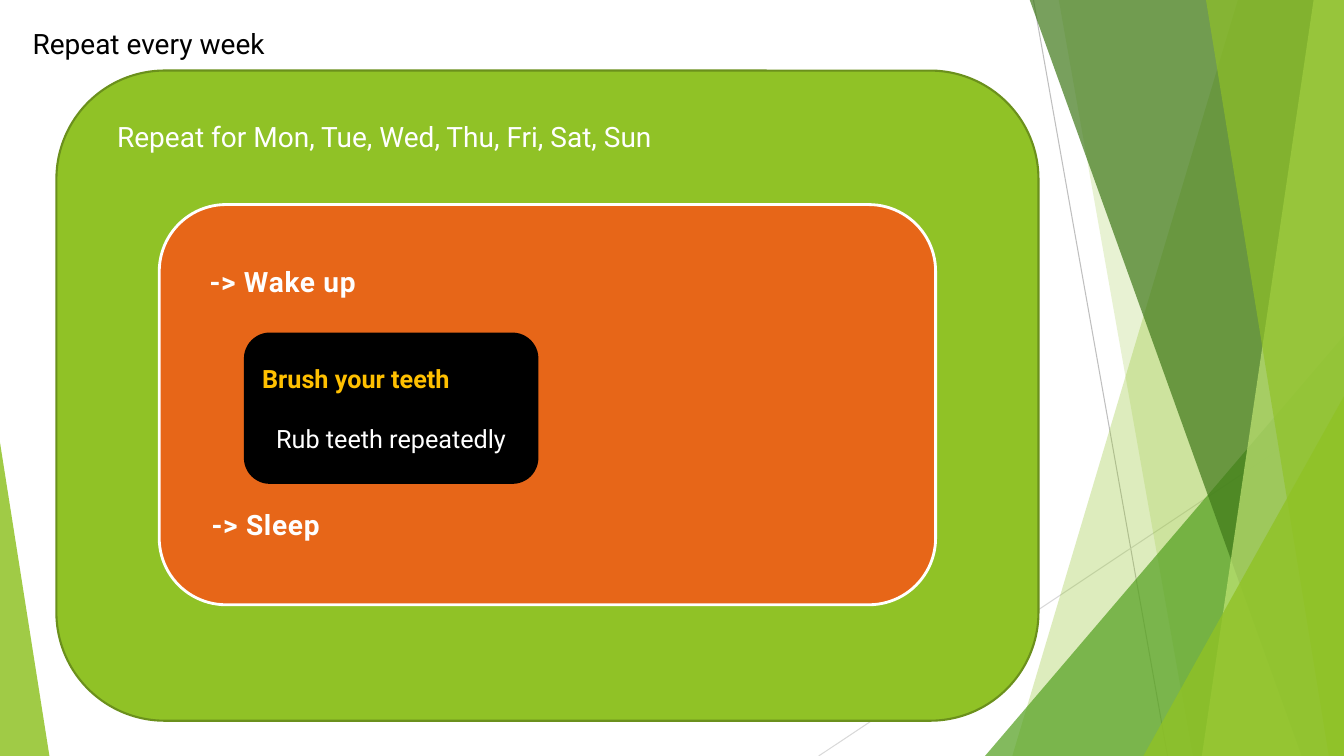
"""Build the nested weekly-routine slide with its green faceted backdrop."""
from dataclasses import dataclass
from typing import Any

import lxml.etree
import pptx
import pptx.dml.color
import pptx.enum.shapes
import pptx.enum.text
import pptx.oxml
import pptx.oxml.ns
import pptx.util

Inches = pptx.util.Inches
Pt = pptx.util.Pt
Align = pptx.enum.text.PP_ALIGN
Anchor = pptx.enum.text.MSO_ANCHOR
Preset = pptx.enum.shapes.MSO_SHAPE
qn = pptx.oxml.ns.qn

WIDTH, HEIGHT = 13.33, 7.5
FONT = "Roboto"
GREEN, WHITE, BLACK = "90C226", "FFFFFF", "000000"


@dataclass
class Ray:
    start: tuple[float, float]
    end: tuple[float, float]
    color: str


@dataclass
class Facet:
    """A band from two slanted-edge points to the right side of the slide."""
    top: float
    bottom: float
    color: str
    opacity: int


@dataclass
class Corner:
    left: float
    top: float
    width: float
    peak: float
    color: str
    opacity: int


@dataclass
class Panel:
    left: float
    top: float
    width: float
    height: float
    fill: str
    line: str
    weight: float


@dataclass
class Label:
    text: str
    left: float
    top: float
    width: float
    color: str
    align: Any = Align.LEFT
    glow: bool = False


RAYS = [
    Ray((10.25, 0), (11.58, HEIGHT), "BFBFBF"),
    Ray((WIDTH, 4.03), (8.12, HEIGHT), "D9D9D9"),
]
BACKDROP = [
    Facet(12.28, 10.04, GREEN, 30),
    Facet(10.5, 11.83, GREEN, 20),
    Corner(9.77, 3.33, 3.56, 1, "54A021", 72),
    Facet(10.21, 12.91, "3F7819", 70),
    Facet(13.03, 11.92, "C0E474", 70),
    Facet(11.96, 13.18, GREEN, 65),
    Corner(11.34, 3.93, 1.99, 1, GREEN, 80),
    Corner(0, 4.39, 0.49, 0, GREEN, 85),
]
WEEK = Panel(0.56, 0.7, 9.74, 6.45, GREEN, "6B901C", 1.5)
DAY = Panel(1.58, 2.03, 7.7, 3.97, "E76618", WHITE, 2)
BRUSH = Panel(2.43, 3.31, 2.9, 1.48, BLACK, BLACK, 1.5)
TITLE = Label("Repeat every week", 0.18, 0.21, 2.59, BLACK, Align.CENTER)
LABELS = [
    Label("Repeat for Mon, Tue, Wed, Thu, Fri, Sat, Sun", 0.9, 1.14, 5.83, WHITE, Align.CENTER),
    Label("-> Wake up", 1.98, 2.58, 1.74, "FEFEFE", glow=True),
    Label("-> Sleep", 2, 4.99, 1.32, "FEFEFE", glow=True),
]


def rgb(color: str) -> pptx.dml.color.RGBColor:
    """Turn a hex string into a colour."""
    return pptx.dml.color.RGBColor.from_string(color)


def paint(sp: Any, color: str, opacity: int = 100) -> None:
    """Fill a shape, with no shadow and the given opacity."""
    sp.shadow.inherit = False
    sp.fill.solid()
    sp.fill.fore_color.rgb = rgb(color)
    if opacity < 100:
        clr = sp._element.spPr.find(qn("a:solidFill"))[0]
        lxml.etree.SubElement(clr, qn("a:alpha"), val=str(opacity * 1000))


def draw_ray(shapes: Any, ray: Ray) -> None:
    """Draw one thin background line."""
    ends = [Inches(v) for v in ray.start + ray.end]
    sp = shapes.add_connector(pptx.enum.shapes.MSO_CONNECTOR.STRAIGHT, *ends)
    sp.line.color.rgb = rgb(ray.color)
    sp.line.width = Pt(0.75)
    lxml.etree.SubElement(sp._element.spPr, qn("a:effectLst"))


def draw_facet(shapes: Any, facet: Facet | Corner) -> None:
    """Draw one translucent background piece."""
    if isinstance(facet, Corner):
        sp = shapes.add_shape(Preset.ISOSCELES_TRIANGLE, Inches(facet.left), Inches(facet.top),
                              Inches(facet.width), Inches(HEIGHT - facet.top))
        sp.adjustments[0] = facet.peak
    else:
        fb = shapes.build_freeform(Inches(facet.top), Inches(-0.01))
        fb.add_line_segments([(Inches(x), Inches(y)) for x, y in (
            (WIDTH, -0.01), (WIDTH, HEIGHT), (facet.bottom, HEIGHT))])
        sp = fb.convert_to_shape()
    paint(sp, facet.color, facet.opacity)
    sp.line.fill.background()


def draw_panel(shapes: Any, panel: Panel) -> Any:
    """Draw one rounded panel."""
    sp = shapes.add_shape(Preset.ROUNDED_RECTANGLE, Inches(panel.left), Inches(panel.top),
                          Inches(panel.width), Inches(panel.height))
    paint(sp, panel.fill)
    sp.line.color.rgb = rgb(panel.line)
    sp.line.width = Pt(panel.weight)
    return sp


def style(p: Any, text: str, size: float, color: str, bold: bool, align: Any) -> None:
    """Write and format one paragraph."""
    p.text = text
    p.alignment = align
    p.font.name = FONT
    p.font.size = Pt(size)
    p.font.bold = bold
    p.font.color.rgb = rgb(color)


def add_glow(r: Any) -> None:
    """Give a run wider spacing, a green outline and a green shadow."""
    rPr = r._r.get_or_add_rPr()
    rPr.set("spc", "50")
    ln = lxml.etree.SubElement(rPr, qn("a:ln"), w=str(Pt(0.75)))
    effects = lxml.etree.SubElement(rPr, qn("a:effectLst"))
    shadow = lxml.etree.SubElement(effects, qn("a:outerShdw"), dist=str(Pt(1)), dir="2700000")
    for parent in (lxml.etree.SubElement(ln, qn("a:solidFill")), shadow):
        lxml.etree.SubElement(parent, qn("a:srgbClr"), val=GREEN)


def write_label(sp: Any, label: Label) -> None:
    """Place a one-line label in a text box or placeholder."""
    sp.left, sp.top = Inches(label.left), Inches(label.top)
    sp.width, sp.height = Inches(label.width), Inches(0.44)
    tf = sp.text_frame
    tf.word_wrap = False
    tf.auto_size = pptx.enum.text.MSO_AUTO_SIZE.SHAPE_TO_FIT_TEXT
    tf.vertical_anchor = Anchor.TOP
    style(tf.paragraphs[0], label.text, 20, label.color, label.glow, label.align)
    if label.glow:
        add_glow(tf.paragraphs[0].runs[0])


def main() -> None:
    """Build and save the slide."""
    prs = pptx.Presentation()
    prs.slide_width, prs.slide_height = Inches(WIDTH), Inches(HEIGHT)
    s = prs.slides.add_slide(prs.slide_layouts[5])
    for ray in RAYS:
        draw_ray(s.shapes, ray)
    for facet in BACKDROP:
        draw_facet(s.shapes, facet)
    for panel in (WEEK, DAY):
        draw_panel(s.shapes, panel)
    write_label(s.shapes.title, TITLE)
    for label in LABELS:
        write_label(s.shapes.add_textbox(0, 0, 0, 0), label)
    tf = draw_panel(s.shapes, BRUSH).text_frame
    tf.vertical_anchor = Anchor.MIDDLE
    style(tf.paragraphs[0], "Brush your teeth", 18, "FFC000", True, Align.LEFT)
    p = tf.add_paragraph()
    style(p, "Rub teeth repeatedly", 18, WHITE, False, Align.CENTER)
    p.space_before = Pt(21)
    prs.save("out.pptx")


if __name__ == "__main__":
    main()
